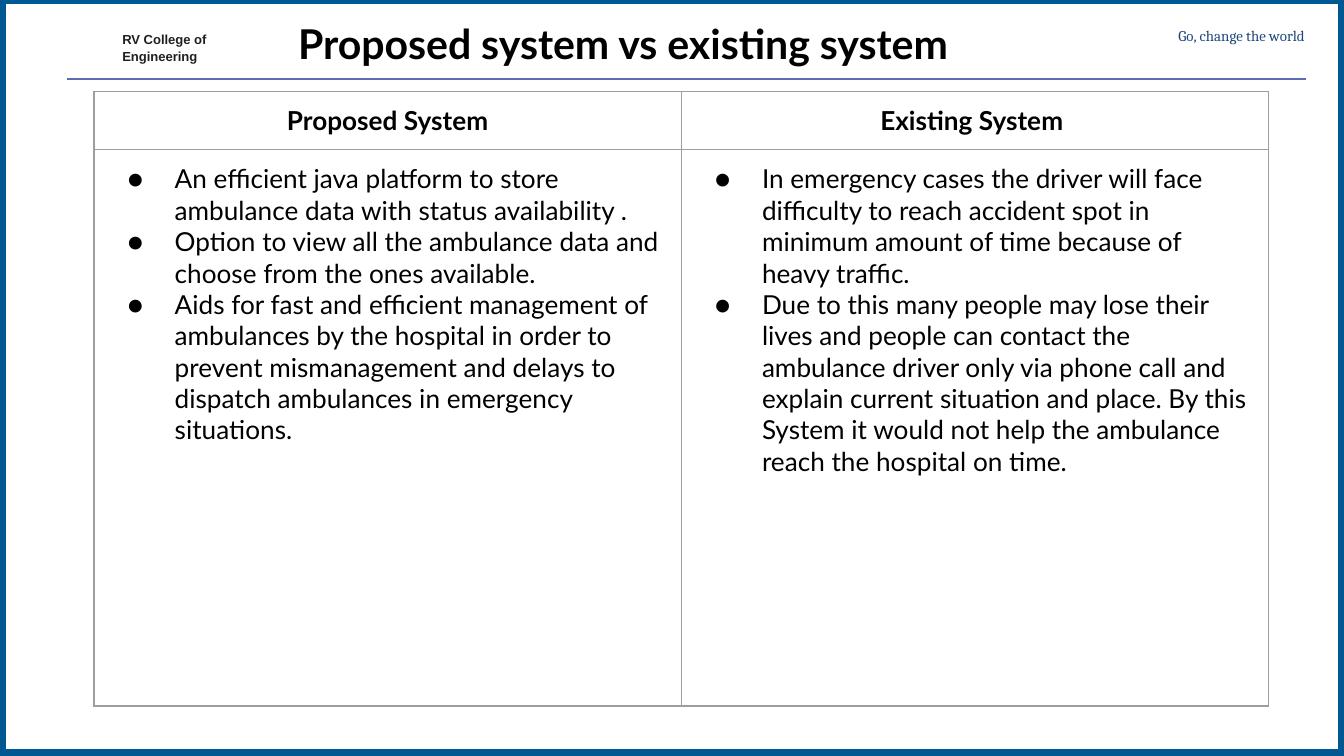
"""Build a slide comparing the proposed system with the existing one."""
from lxml import etree
from pptx import Presentation
from pptx.dml.color import RGBColor
from pptx.enum.shapes import MSO_CONNECTOR, MSO_SHAPE
from pptx.enum.text import PP_ALIGN
from pptx.oxml.ns import qn
from pptx.util import Inches, Pt

LEFT, CENTER, RIGHT = PP_ALIGN.LEFT, PP_ALIGN.CENTER, PP_ALIGN.RIGHT
RECTANGLE, STRAIGHT = MSO_SHAPE.RECTANGLE, MSO_CONNECTOR.STRAIGHT

WHITE = RGBColor(0xFF, 0xFF, 0xFF)
BLACK = RGBColor(0x00, 0x00, 0x00)
FRAME_BLUE = RGBColor(0x00, 0x58, 0x93)
RULE_BLUE = RGBColor(0x5E, 0x6D, 0xB3)
MOTTO_BLUE = RGBColor(0x1F, 0x49, 0x7D)
COLLEGE_INK = RGBColor(0x23, 0x1F, 0x20)
GRID_GREY = RGBColor(0x9E, 0x9E, 0x9E)

COLLEGE = ["RV College of", "Engineering"]
MOTTO = ["Go, change the world"]
TITLE = ["Proposed system vs existing system"]
SYSTEMS = {
    "Proposed System": [
        "An efficient java platform to store ambulance data with status availability .",
        "Option to view all the ambulance data and choose from the ones available.",
        "Aids for fast and efficient management of ambulances by the hospital in order to "
        "prevent mismanagement and delays to dispatch ambulances in emergency situations.",
    ],
    "Existing System ": [
        "In emergency cases the driver will face difficulty to reach accident spot in "
        "minimum amount of time because of heavy traffic.",
        "Due to this many people may lose their lives and people can contact the ambulance "
        "driver only via phone call and explain current situation and place. By this System "
        "it would not help the ambulance reach the hospital on time.",
    ],
}

COLLEGE_FONT = {"name": "Arial", "size": Pt(7), "bold": True}
MOTTO_FONT = {"name": "Cambria", "size": Pt(8), "bold": False}
TITLE_FONT = {"name": "Lato", "size": Pt(22), "bold": True}
HEADING_FONT = {"name": "Lato", "size": Pt(14), "bold": True}
BODY_FONT = {**HEADING_FONT, "bold": False}

WIDTH = 10
HEIGHT = WIDTH * 9 / 16
TABLE_LEFT, TABLE_TOP = 0.7, 0.68
COLUMN_WIDTH = 4.37
ROW_HEIGHTS = [0.41, 4.14]
PADDING = 0.1


def add_bullet(para, font):
    """Give a paragraph a hanging round bullet."""
    props = para._p.get_or_add_pPr()
    props.set("marL", str(Inches(0.5)))
    props.set("indent", str(Inches(-0.35)))
    color = etree.SubElement(props, qn("a:buClr"))
    etree.SubElement(color, qn("a:srgbClr"), val=str(BLACK))
    etree.SubElement(props, qn("a:buFont"), typeface=font["name"])
    etree.SubElement(props, qn("a:buChar"), char="●")


def write(frame, lines, font, color, align=LEFT, spacing=None, bulleted=False):
    """Fill a text frame with one paragraph per line."""
    for index, line in enumerate(lines):
        para = frame.paragraphs[0] if index == 0 else frame.add_paragraph()
        para.alignment = align
        if spacing:
            para.line_spacing = spacing
        if bulleted:
            add_bullet(para, font)
        span = para.add_run()
        span.text = line
        for key, value in font.items():
            setattr(span.font, key, value)
        span.font.color.rgb = color


def set_margins(target, margin):
    """Set the same inner margin on all four sides."""
    for side in ("left", "right", "top", "bottom"):
        setattr(target, f"margin_{side}", Inches(margin))


def add_text(page, place, lines, font, color, margin=0, **layout):
    """Add a wrapping text box."""
    box = page.shapes.add_textbox(*map(Inches, place))
    frame = box.text_frame
    frame.word_wrap = True
    set_margins(frame, margin)
    write(frame, lines, font, color, **layout)


def style_cell(cell):
    """Clear the fill, pad the cell and draw its four borders."""
    set_margins(cell, PADDING)
    cell.fill.background()
    props = cell._tc.get_or_add_tcPr()
    for index, side in enumerate("LRTB"):
        border = etree.Element(qn(f"a:ln{side}"), w=str(Pt(0.75)))
        fill = etree.SubElement(border, qn("a:solidFill"))
        etree.SubElement(fill, qn("a:srgbClr"), val=str(GRID_GREY))
        props.insert(index, border)


def add_frame(page):
    """Draw the page border and the rule under the header."""
    place = (0, -0.01, WIDTH, HEIGHT)
    border = page.shapes.add_shape(RECTANGLE, *map(Inches, place))
    border.shadow.inherit = False
    border.fill.solid()
    border.fill.fore_color.rgb = WHITE
    border.line.color.rgb = FRAME_BLUE
    border.line.width = Pt(6)
    rule = page.shapes.add_connector(STRAIGHT, *map(Inches, (0.5, 0.59, 9.72, 0.59)))
    rule.line.color.rgb = RULE_BLUE
    rule.line.width = Pt(1.25)
    etree.SubElement(rule._element.spPr, qn("a:effectLst"))


def add_comparison(page):
    """Add the table with one column per system."""
    place = (TABLE_LEFT, TABLE_TOP, COLUMN_WIDTH * len(SYSTEMS), sum(ROW_HEIGHTS))
    table = page.shapes.add_table(len(ROW_HEIGHTS), len(SYSTEMS), *map(Inches, place)).table
    table.first_row = table.horz_banding = False
    for row, height in zip(table.rows, ROW_HEIGHTS):
        row.height = Inches(height)
    for column, (heading, points) in enumerate(SYSTEMS.items()):
        table.columns[column].width = Inches(COLUMN_WIDTH)
        head, body = table.cell(0, column), table.cell(1, column)
        write(head.text_frame, [heading], HEADING_FONT, BLACK, align=CENTER)
        write(body.text_frame, points, BODY_FONT, BLACK, bulleted=True)
        style_cell(head)
        style_cell(body)


def main():
    """Assemble and save the deck."""
    deck = Presentation()
    deck.slide_width, deck.slide_height = Inches(WIDTH), Inches(HEIGHT)
    page = deck.slides.add_slide(deck.slide_layouts[6])
    add_frame(page)
    add_text(page, (0.91, 0.23, 0.68, 0.24), COLLEGE, COLLEGE_FONT, COLLEGE_INK, spacing=1.06)
    add_text(page, (7.88, 0.2, 1.83, 0.23), MOTTO, MOTTO_FONT, MOTTO_BLUE, align=RIGHT)
    add_comparison(page)
    add_text(page, (2.12, 0.04, 6.13, 0.61), TITLE, TITLE_FONT, BLACK, margin=PADDING)
    deck.save("out.pptx")


if __name__ == "__main__":
    main()
